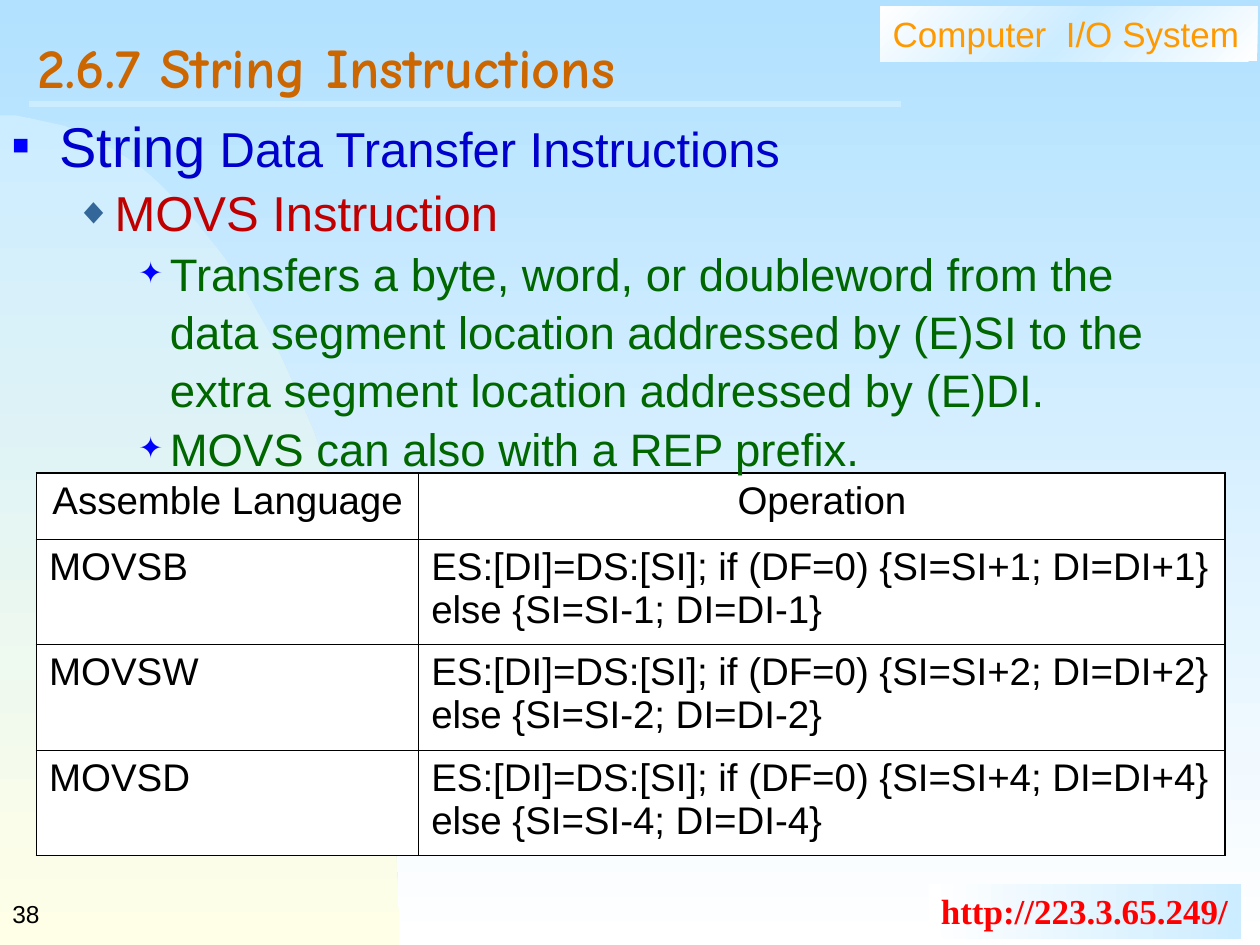
from lxml.etree import SubElement
from pptx import Presentation
from pptx.dml.color import RGBColor
from pptx.enum.shapes import MSO_CONNECTOR as Connector, MSO_SHAPE as Shape
from pptx.enum.text import MSO_ANCHOR as Anchor, PP_ALIGN as Align
from pptx.oxml.ns import qn
from pptx.util import Pt

# Content
TITLE = "2.6.7 String Instructions"
COURSE = "Computer  I/O System"
ADDRESS = "http://223.3.65.249/"
PAGE = "38"

# Level: indent, hanging, bullet, bullet colour, bullet size in percent
LEVELS = [
    (27, 27, "■", "0000FF", 50),
    (58.5, 22.5, "◆", "336699", 75),
    (90, 18, "✦", "0000FF", 65),
]
# Level, text colour, runs of (text, size)
OUTLINE = [
    (0, "0000CC", [("String", 32), (" Data Transfer Instructions", 28)]),
    (1, "C00000", [("MOVS Instruction", 28)]),
    (2, "006600", [("Transfers a byte, word, or doubleword from the data segment "
                    "location addressed by (E)SI to the extra segment location "
                    "addressed by (E)DI.", 26)]),
    (2, "006600", [("MOVS can also with a REP prefix.", 26)]),
]
HEADER = ("Assemble Language", "Operation")
STEPS = [("MOVSB", 1), ("MOVSW", 2), ("MOVSD", 4)]
OPERATION = "ES:[DI]=DS:[SI]; if (DF=0) {{SI=SI+{0}; DI=DI+{0}}} else {{SI=SI-{0}; DI=DI-{0}}}"
COLUMNS = (218.4, 460.8)
ROWS = (37.7, 60.3, 60.3, 60.3)

prs = Presentation()
prs.slide_width, prs.slide_height = Pt(720), Pt(540)
slide = prs.slides.add_slide(prs.slide_layouts[6])
shapes = slide.shapes


def rgb(value):
    return RGBColor.from_string(value)


def gradient(fill, first, last, angle):
    fill.gradient()
    fill.gradient_angle = angle
    for stop, color in zip(fill.gradient_stops, (first, last)):
        stop.color.rgb = rgb(color)


def style(font, name, size, color, bold=False):
    font.name, font.size, font.bold = name, Pt(size), bold
    font.color.rgb = rgb(color)


def write(shape, text, name, size, color, bold=False, wrap=True, anchor=Anchor.TOP):
    frame = shape.text_frame
    frame.word_wrap, frame.vertical_anchor = wrap, anchor
    line = frame.paragraphs[0]
    line.text, line.alignment = text, Align.LEFT
    style(line.font, name, size, color, bold)
    return line


def text_box(*box):
    return shapes.add_textbox(*map(Pt, box))


def label(box, first, last, angle):
    rect = shapes.add_shape(Shape.RECTANGLE, *map(Pt, box))
    rect.shadow.inherit = False
    rect.line.fill.background()
    gradient(rect.fill, first, last, angle)
    return rect


def bezier(p0, p1, p2, p3, steps=40):
    for i in range(steps + 1):
        t = i / steps
        u = 1 - t
        yield tuple(u**3 * a + 3 * u * u * t * b + 3 * u * t * t * c + t**3 * d
                    for a, b, c, d in zip(p0, p1, p2, p3))


def add_bullet(paragraph, indent, hanging, char, color, percent):
    props = paragraph._p.get_or_add_pPr()
    props.set("marL", str(Pt(indent)))
    props.set("indent", str(-Pt(hanging)))
    SubElement(SubElement(props, qn("a:buClr")), qn("a:srgbClr"), val=color)
    SubElement(props, qn("a:buSzPct"), val=str(percent * 1000))
    SubElement(props, qn("a:buFont"), typeface="Arial")
    SubElement(props, qn("a:buChar"), char=char)


def add_borders(cell, widths):
    props = cell._tc.get_or_add_tcPr()
    for index, (side, width) in enumerate(zip("LRTB", widths)):
        border = SubElement(props, qn("a:ln" + side), w=str(Pt(width)))
        fill = SubElement(border, qn("a:solidFill"))
        SubElement(fill, qn("a:srgbClr"), val="000000")
        props.insert(index, border)


# Background and curved corner
gradient(slide.background.fill, "B1E1FF", "FFFFFF", 270)
curve = list(bezier((0, 66), (126, 66), (228, 279), (228, 540)))
builder = shapes.build_freeform(*curve[0], scale=Pt(1))
builder.add_line_segments(curve[1:] + [(0, 540)], close=True)
corner = builder.convert_to_shape()
corner.shadow.inherit = False
corner.line.fill.background()
gradient(corner.fill, "CCECFF", "FFFFE7", 270)

# Course label: white, light blue in the middle, white
course = label((503, 3.5, 215.5, 31.5), "FFFFFF", "FFFFFF", 315)
stops = course._element.spPr.find(qn("a:gradFill")).find(qn("a:gsLst"))
middle = SubElement(stops, qn("a:gs"), pos="50000")
SubElement(middle, qn("a:srgbClr"), val="CCECFF")
stops.insert(1, middle)
write(course, COURSE, "Arial", 20, "FF9900")

# Address label
address = label((530.5, 505, 178.5, 31.5), "FFFFFF", "CCECFF", 0)
write(address, ADDRESS, "Times New Roman", 20, "FF0000", bold=True, wrap=False)

# Rule under the title
rule = shapes.add_connector(Connector.STRAIGHT, Pt(16.5), Pt(59.4), Pt(515), Pt(59.4))
rule.line.color.rgb, rule.line.width = rgb("CCECFF"), Pt(3)
SubElement(rule._element.spPr, qn("a:effectLst"))

# Page number and title
write(text_box(0, 504, 150, 36), PAGE, "Arial", 14, "000000", anchor=Anchor.MIDDLE)
title = write(text_box(14.5, 14.5, 687.5, 55.5), TITLE, "Comic Neue", 32, "CC6600",
              bold=True, anchor=Anchor.MIDDLE)
title.line_spacing = 0.7

# Instruction table
rows = [HEADER] + [(name, OPERATION.format(step)) for name, step in STEPS]
table = shapes.add_table(len(ROWS), len(COLUMNS), Pt(20.9), Pt(270.3),
                         Pt(sum(COLUMNS)), Pt(sum(ROWS))).table
table.first_row = table.horz_banding = False
for column, width in zip(table.columns, COLUMNS):
    column.width = Pt(width)
for r, (row, height) in enumerate(zip(rows, ROWS)):
    table.rows[r].height = Pt(height)
    for c, text in enumerate(row):
        cell = table.cell(r, c)
        cell.fill.solid()
        cell.fill.fore_color.rgb = rgb("FFFFFF")
        outer = (c == 0, c == len(COLUMNS) - 1, r == 0, r == len(ROWS) - 1)
        add_borders(cell, [1.08 if edge else 0.45 for edge in outer])
        line = cell.text_frame.paragraphs[0]
        line.text, line.space_before = text, Pt(5.5)
        line.alignment = Align.CENTER if r == 0 else Align.LEFT
        style(line.font, "Arial", 22, "000000")

# Outline
outline = text_box(0, 57.6, 695, 205).text_frame
outline.word_wrap = True
for i, (level, color, runs) in enumerate(OUTLINE):
    item = outline.add_paragraph() if i else outline.paragraphs[0]
    item.level, item.line_spacing = level, 1.07
    add_bullet(item, *LEVELS[level])
    style(item.font, "Arial", runs[0][1], color)
    for text, size in runs:
        run = item.add_run()
        run.text = text
        if size != runs[0][1]:
            run.font.size = Pt(size)

prs.save("out.pptx")
